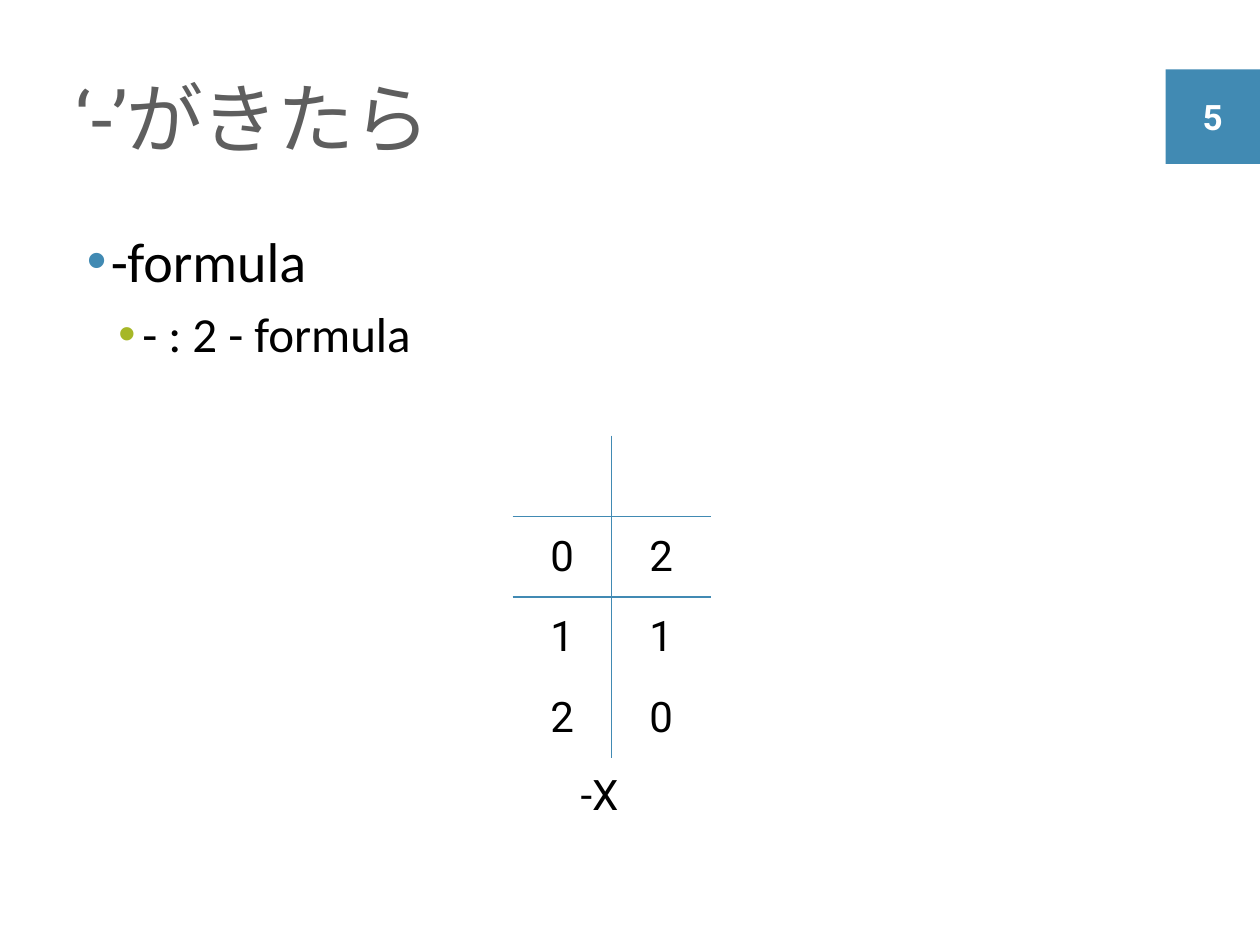
import pptx
import pptx.dml.color
import pptx.enum.shapes
import pptx.enum.text
import pptx.oxml
import pptx.oxml.ns
import pptx.util

Pt = pptx.util.Pt
Color = pptx.dml.color.RGBColor
Align = pptx.enum.text.PP_ALIGN
Anchor = pptx.enum.text.MSO_ANCHOR
Fit = pptx.enum.text.MSO_AUTO_SIZE

BLUE = Color(0x41, 0x8A, 0xB3)
GREEN = Color(0xA6, 0xB7, 0x27)
GRAY = Color(0x5E, 0x5E, 0x5E)
BLACK = Color(0, 0, 0)
WHITE = Color(255, 255, 255)
PLAIN = "{2D5ABB26-0587-4C30-8999-92F81FD0307C}"
GRID = [("", ""), ("0", "2"), ("1", "1"), ("2", "0")]


def apply(item, values):
    for key, value in values.items():
        setattr(item, key, value)


def node(tag, inner="", attrs=""):
    space = pptx.oxml.ns.nsdecls("a")
    return pptx.oxml.parse_xml(f"<a:{tag} {space} {attrs}>{inner}</a:{tag}>")


def solid(color):
    return f'<a:solidFill><a:srgbClr val="{color}"/></a:solidFill>'


def write(para, text, size, color, face="Roboto", bold=False, align=Align.LEFT):
    run = para.add_run()
    run.text = text
    apply(run.font, {"size": Pt(size), "name": face, "bold": bold})
    run.font.color.rgb = color
    para.alignment = align
    props = run.font._element
    props.append(node("ea", attrs=f'typeface="{face}"'))
    return props


def add_title(slide):
    title = slide.shapes.title
    apply(title, {"left": Pt(36), "top": Pt(21.6), "width": Pt(669), "height": Pt(90)})
    frame = title.text_frame
    apply(frame, {"vertical_anchor": Anchor.MIDDLE, "auto_size": Fit.NONE})
    props = write(frame.paragraphs[0], "‘-’がきたら", 44, GRAY)
    props.set("spc", "-80")


def add_badge(slide):
    kind = pptx.enum.shapes.MSO_SHAPE.RECTANGLE
    badge = slide.shapes.add_shape(kind, Pt(666), Pt(39.6), Pt(54), Pt(54))
    badge.shadow.inherit = False
    badge.fill.solid()
    badge.fill.fore_color.rgb = BLUE
    badge.line.fill.background()
    frame = badge.text_frame
    frame.vertical_anchor = Anchor.MIDDLE
    write(frame.paragraphs[0], "5", 20, WHITE, bold=True, align=Align.CENTER)


def add_item(para, text, level, size, left, color):
    para.level = level
    para.space_before = Pt(size * 0.2)
    write(para, text, size, BLACK, "Calibri")
    props = para._p.get_or_add_pPr()
    props.set("marL", str(Pt(left)))
    props.set("indent", str(Pt(-13.7)))
    props.append(node("buClr", f'<a:srgbClr val="{color}"/>'))
    props.append(node("buFont", attrs='typeface="Arial"'))
    props.append(node("buChar", attrs='char="•"'))


def add_body(slide):
    box = slide.shapes.add_textbox(Pt(36), Pt(126), Pt(669), Pt(378))
    frame = box.text_frame
    frame.word_wrap = True
    add_item(frame.paragraphs[0], "-formula", 0, 32, 20.2, BLUE)
    add_item(frame.add_paragraph(), "- : 2 - formula", 1, 28, 38.2, GREEN)


def add_edge(cell, side):
    props = cell._tc.get_or_add_tcPr()
    props.append(node(f"ln{side}", solid(BLUE), f'w="{Pt(1)}"'))


def add_grid(slide):
    shape = slide.shapes.add_table(4, 2, Pt(293), Pt(249), Pt(113.2), Pt(184.4))
    table = shape.table
    apply(table, {"first_row": False, "horz_banding": False})
    style = table._tbl.tblPr.find(pptx.oxml.ns.qn("a:tableStyleId"))
    style.text = PLAIN
    for r, row in enumerate(GRID):
        for c, text in enumerate(row):
            cell = table.cell(r, c)
            add_edge(cell, "LR"[1 - c])
            if r < 2:
                add_edge(cell, "BT"[r])
            cell.fill.solid()
            cell.fill.fore_color.rgb = WHITE
            cell.vertical_anchor = Anchor.MIDDLE
            if text:
                para = cell.text_frame.paragraphs[0]
                write(para, text, 24, BLACK, align=Align.CENTER)


def add_label(slide):
    box = slide.shapes.add_textbox(Pt(324.7), Pt(435.6), Pt(39.6), Pt(36))
    frame = box.text_frame
    apply(frame, {"word_wrap": False, "auto_size": Fit.SHAPE_TO_FIT_TEXT})
    write(frame.paragraphs[0], "-X", 24, BLACK)


def main():
    deck = pptx.Presentation()
    apply(deck, {"slide_width": Pt(720), "slide_height": Pt(540)})
    slide = deck.slides.add_slide(deck.slide_layouts[5])
    for add in (add_badge, add_title, add_body, add_grid, add_label):
        add(slide)
    deck.save("out.pptx")


main()
